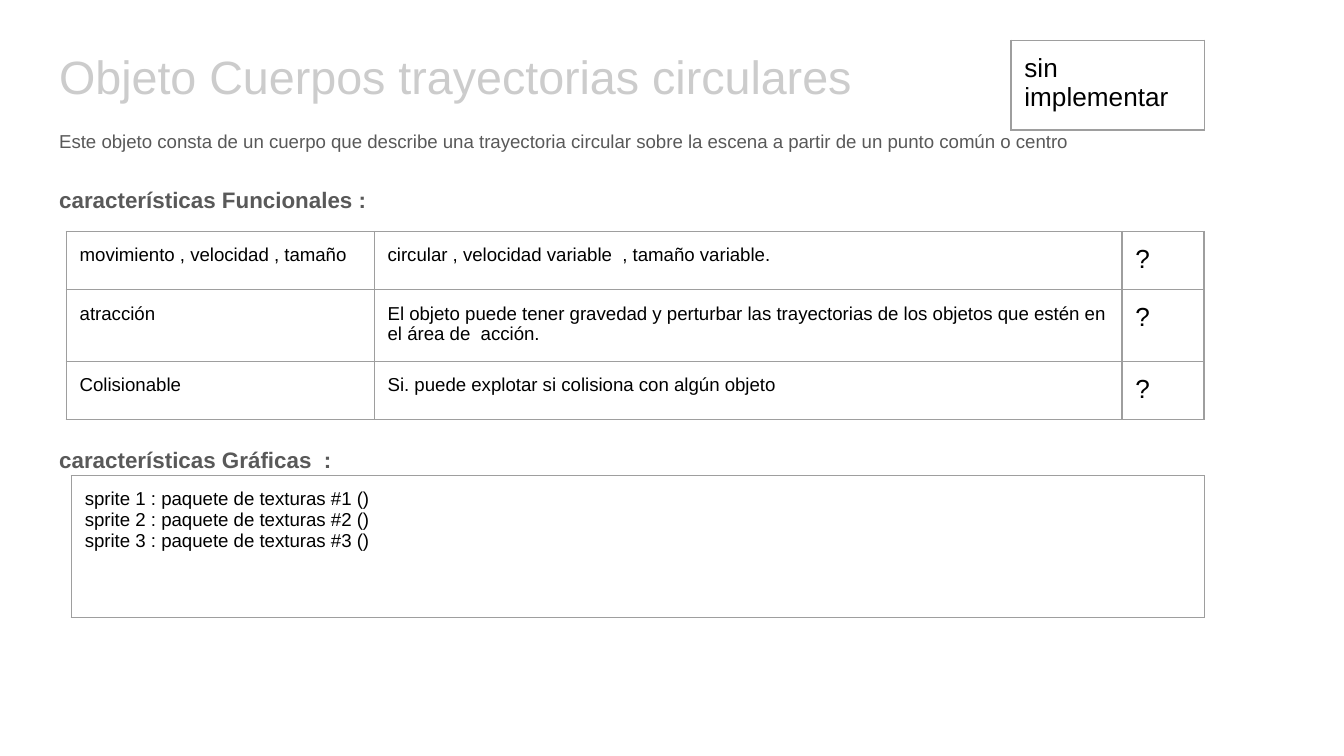
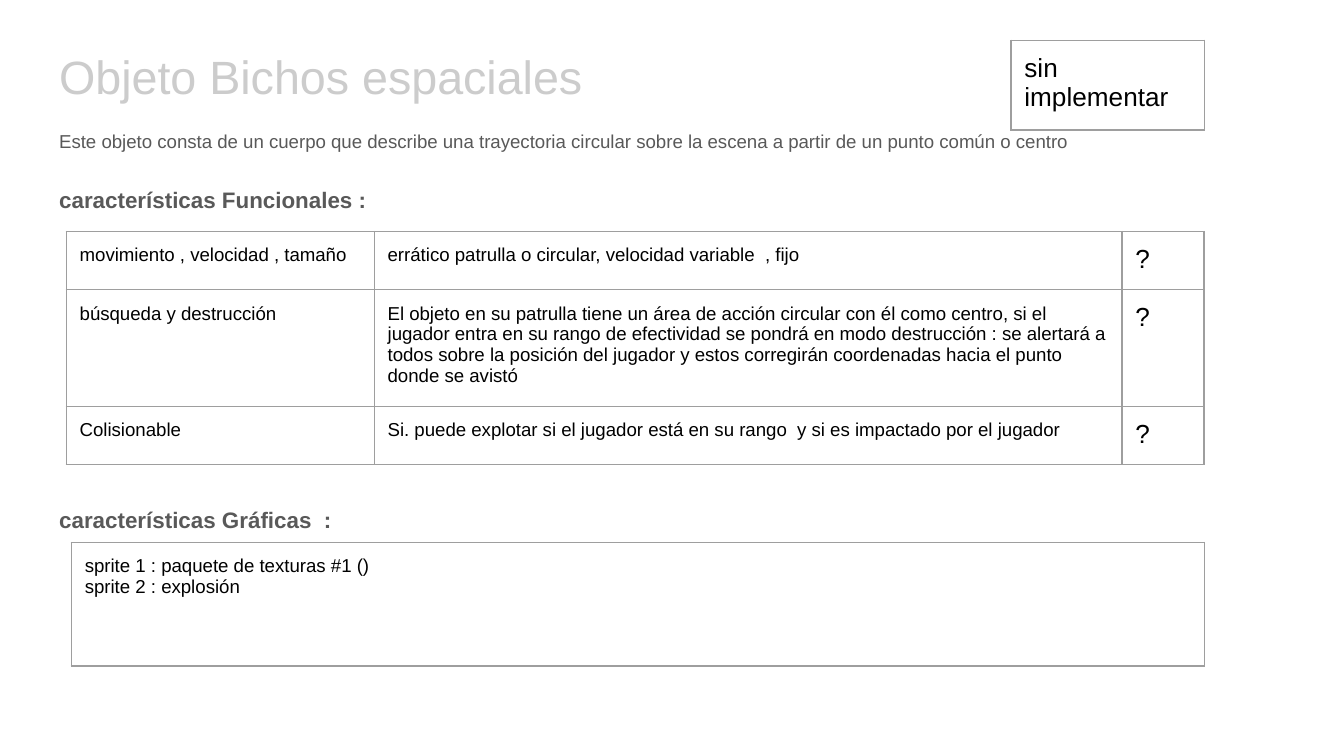
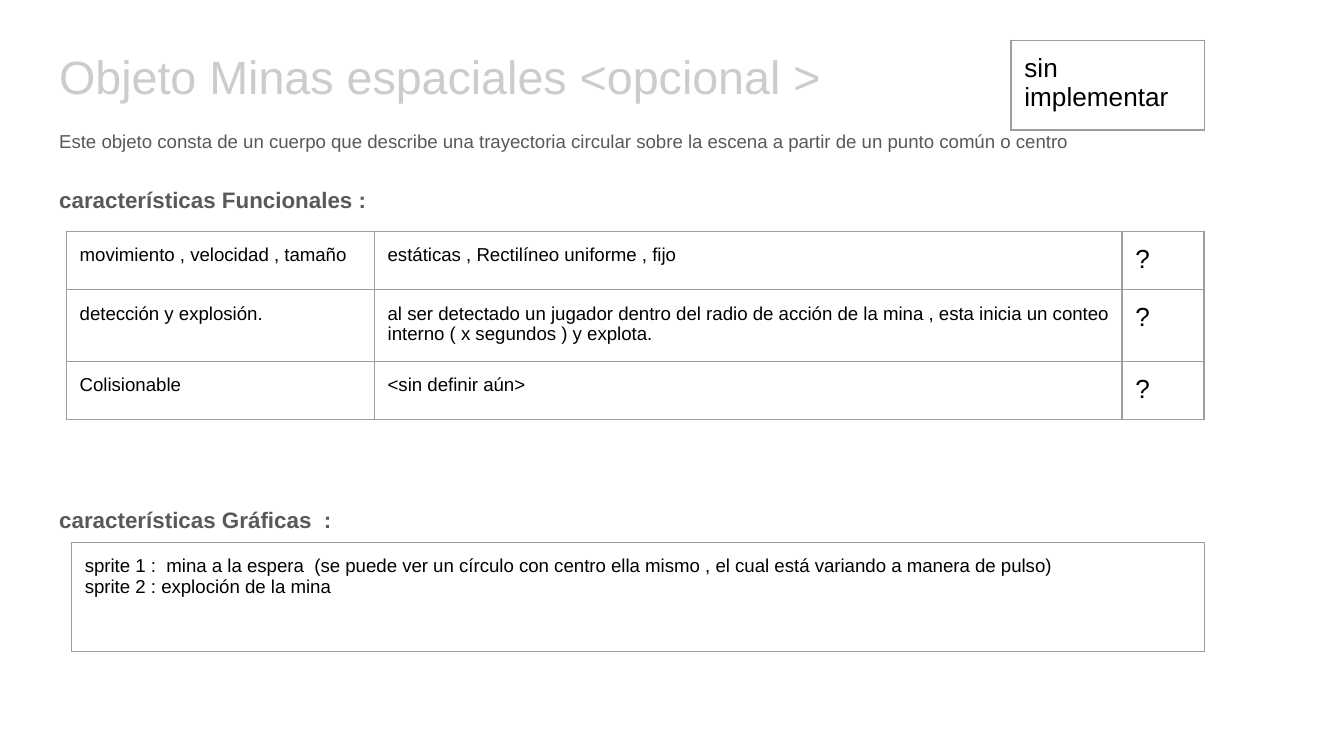
"""Build three game object sheets with their functional and graphic features."""
from dataclasses import dataclass
from lxml.etree import SubElement
from pptx import Presentation
from pptx.dml.color import RGBColor as RGB
from pptx.enum.text import MSO_ANCHOR as Anchor
from pptx.oxml.ns import qn
from pptx.util import Pt


@dataclass(frozen=True)
class Theme:
    font: str = "Arial"
    title: str = "CCCCCC"
    body: str = "595959"
    cell: str = "000000"
    border: str = "9E9E9E"
    title_size: float = 25
    status_size: float = 14
    heading_size: float = 12
    text_size: float = 10
    border_width: float = 0.75
    inset: float = 7.2
    grid_frame: float = 236.2


theme = Theme()


def style(paragraph, color, size, bold=False, gap=0, spacing=1.0):
    paragraph_format = {"space_before": Pt(gap), "space_after": Pt(0), "line_spacing": spacing}
    for key, value in paragraph_format.items():
        setattr(paragraph, key, value)
    for run in paragraph.runs:
        for key, value in {"name": theme.font, "size": Pt(size), "bold": bold}.items():
            setattr(run.font, key, value)
        run.font.color.rgb = RGB.from_string(color)


def add_grid(slide, left, top, widths, heights, rows, sizes):
    frame = slide.shapes.add_table(
        len(rows), len(widths), Pt(left), Pt(top), Pt(sum(widths)), Pt(sum(heights))
    )
    grid = frame.table
    for flag in ("first_row", "horz_banding"):
        setattr(grid, flag, False)
    for column, width in zip(grid.columns, widths):
        column.width = Pt(width)
    for row, height, texts in zip(grid.rows, heights, rows):
        row.height = Pt(height)
        for cell, text, size in zip(row.cells, texts, sizes):
            cell.text = text
            for side in ("left", "right", "top", "bottom"):
                setattr(cell, f"margin_{side}", Pt(theme.inset))
            for paragraph in cell.text_frame.paragraphs:
                style(paragraph, theme.cell, size)
            properties = cell._tc.get_or_add_tcPr()
            for edge in ("lnL", "lnR", "lnT", "lnB"):
                line = SubElement(properties, qn(f"a:{edge}"), w=str(Pt(theme.border_width)))
                fill = SubElement(line, qn("a:solidFill"))
                SubElement(fill, qn("a:srgbClr"), val=theme.border)
            cell.fill.background()
    for side in ("width", "height"):
        setattr(frame, side, Pt(theme.grid_frame))


description = (
    "Este objeto consta de un cuerpo que describe una trayectoria circular "
    "sobre la escena a partir de un punto común o centro"
)
sheets = [
    {
        "title": "Objeto Cuerpos trayectorias circulares",
        "features": [
            ("movimiento , velocidad , tamaño", "circular , velocidad variable  , tamaño variable."),
            ("atracción", "El objeto puede tener gravedad y perturbar las trayectorias de los "
             "objetos que estén en el área de  acción."),
            ("Colisionable", "Si. puede explotar si colisiona con algún objeto"),
        ],
        "sprites": [f"sprite {n} : paquete de texturas #{n} ()" for n in (1, 2, 3)],
        "graphics_gap": 122.6,
        "sprites_top": 254.8,
        "sprites_height": 76.1,
    },
    {
        "title": "Objeto Bichos espaciales",
        "features": [
            ("movimiento , velocidad , tamaño",
             "errático patrulla o circular, velocidad variable  , fijo"),
            ("búsqueda y destrucción", "El objeto en su patrulla tiene un área de acción circular "
             "con él como centro, si el jugador entra en su rango de efectividad se pondrá en modo "
             "destrucción : se alertará a todos sobre la posición del jugador y estos corregirán "
             "coordenadas hacia el punto donde se avistó"),
            ("Colisionable", "Si. puede explotar si el jugador está en su rango  y si es impactado "
             "por el jugador"),
        ],
        "sprites": ["sprite 1 : paquete de texturas #1 ()", "sprite 2 : explosión"],
        "graphics_gap": 155,
        "sprites_top": 290.6,
        "sprites_height": 66.2,
    },
    {
        "title": "Objeto Minas espaciales <opcional >",
        "features": [
            ("movimiento , velocidad , tamaño", "estáticas , Rectilíneo uniforme , fijo"),
            ("detección y explosión.", "al ser detectado un jugador dentro del radio de acción de "
             "la mina , esta inicia un conteo interno ( x segundos ) y explota."),
            ("Colisionable", "<sin definir aún>"),
        ],
        "sprites": [
            "sprite 1 :  mina a la espera  (se puede ver un círculo con centro ella mismo , "
            "el cual está variando a manera de pulso)",
            "sprite 2 : exploción de la mina",
        ],
        "graphics_gap": 155,
        "sprites_top": 290.6,
        "sprites_height": 58.6,
    },
]

deck = Presentation()
deck.slide_width, deck.slide_height = Pt(720), Pt(405)

for sheet in sheets:
    slide = deck.slides.add_slide(deck.slide_layouts[6])
    title_lines = [(sheet["title"], theme.title, theme.title_size, False, 0, 1.0)]
    body_lines = [
        (description, theme.body, theme.text_size, False, 0, 1.15),
        ("características Funcionales :", theme.body, theme.heading_size, True, 16, 1.15),
        ("características Gráficas  :", theme.body, theme.heading_size, True,
         sheet["graphics_gap"], 1.15),
    ]
    for top, height, anchor, lines in (
        (18.2, 45.4, Anchor.MIDDLE, title_lines),
        (60.5, 196.6, Anchor.TOP, body_lines),
    ):
        frame = slide.shapes.add_textbox(Pt(24.6), Pt(top), Pt(671), Pt(height)).text_frame
        frame_format = {"word_wrap": True, "vertical_anchor": anchor}
        frame_format |= {f"margin_{side}": Pt(theme.inset)
                         for side in ("left", "right", "top", "bottom")}
        for key, value in frame_format.items():
            setattr(frame, key, value)
        frame.text = "\n".join(line[0] for line in lines)
        for paragraph, (_, *look) in zip(frame.paragraphs, lines):
            style(paragraph, *look)

    add_grid(slide, 35.5, 124, [165, 400.6, 44], [23, 21.6, 21.6],
             [(*feature, "?") for feature in sheet["features"]],
             [theme.text_size, theme.text_size, theme.status_size])
    add_grid(slide, 38.2, sheet["sprites_top"], [607], [sheet["sprites_height"]],
             [["\n".join(sheet["sprites"])]], [theme.text_size])
    add_grid(slide, 541.6, 21.6, [103.5], [24.5], [["sin implementar"]], [theme.status_size])

deck.save("out.pptx")
